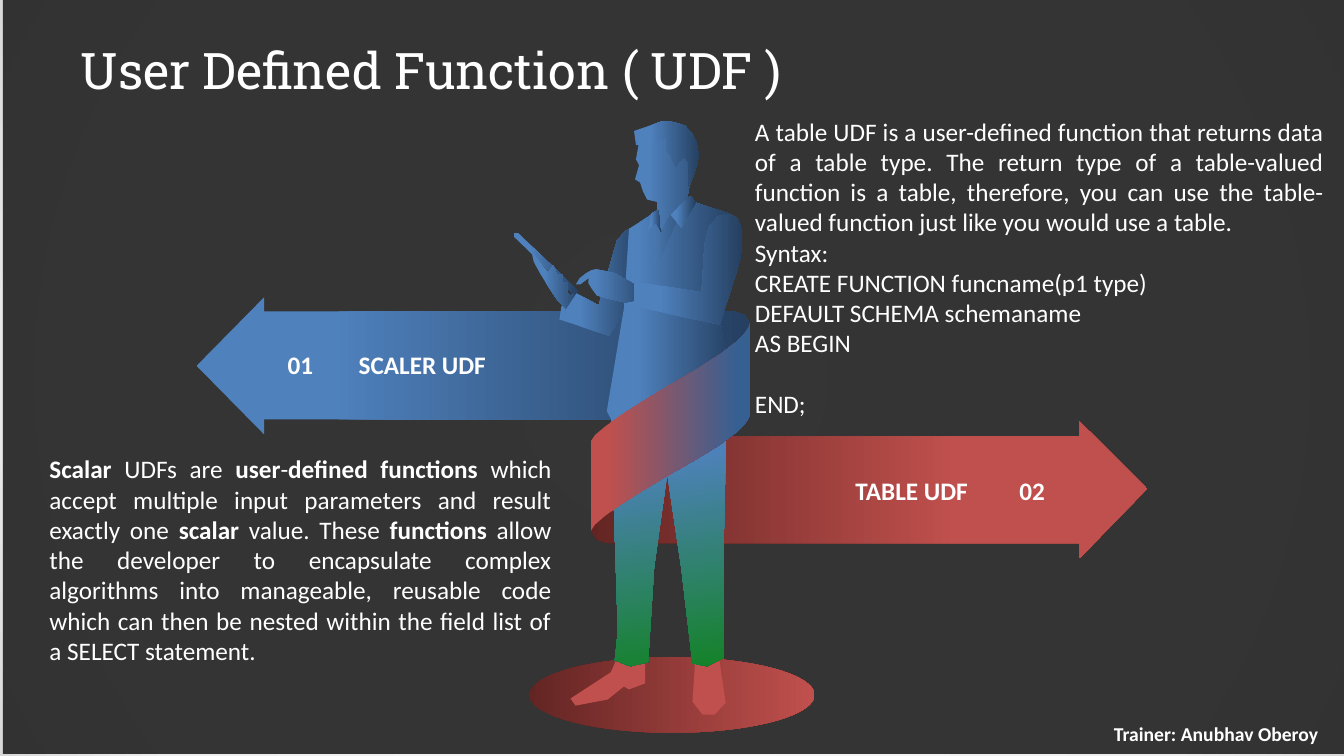
from copy import deepcopy
from math import dist

from lxml import etree
from pptx import Presentation
from pptx import util as u
from pptx.dml import color
from pptx.enum import shapes as kinds, text
from pptx.oxml import ns

Pt = u.Pt
UNIT = Pt(0.72)  # one step of the outline grid
PIECE = Pt(12)  # length of curve drawn as one line
MOST = 6  # most lines in one curve

BLUE = ((24, "4F81BD"), (100, "254061"))
TROUSERS = ((24, "4F81BD"), (100, "148227"))
RED = ((0, "632523"), (66, "C0504D"))
DISC = ((0, "632523"), (100, "C0504D"))
BAND = ((11, "C0504D"), (92, "376092"))
SHOE = "C0504D"

# Outlines: two numbers make a line, six make a curve
LEFT = ("262 295, 262 309, 723 309, 723 309 744 309 744 321, "
        "744 325 734 352 734 352, 726 377, 716 416, 262 416, 262 431, 195 363")
RIGHT = ("1071 418, 1138 485, 1071 554, 1071 539, 606 539, "
         "606 539 587 539 586 527, 586 523 596 497 596 497, 604 471, "
         "614 433, 1071 433")
SASH = ("586 438, 588 428 632 401 692 366, 747 333 744 321 744 321, 744 410, "
        "744 410 748 423 692 455, 631 489 588 517 586 527")

TABLET = "573 292, 570 293, 510 235, 510 231, 514 231, 574 289"
SHOE_L = ("640 649, 640 678, 624 684, 619 681, 603 694, 571 700, 566 693, "
          "606 667, 617 642")
SHOE_R = "690 652, 687 696, 697 709, 709 709, 720 697, 713 650"
HEAD = ("652 200, 642 198, 638 190, 635 181, 630 178, 634 164, 631 158, "
        "634 141, 635 136 645 123 666 125, "
        "687 127 692 150 690 163, 688 177 678 193 683 208, "
        "688 223 714 212 712 254, 621 273, 621 273 625 250 635 238, "
        "635 238 659 213 652 200")
CUFF = "560 316, 555 317, 557 304, 567 292, 572 292, 565 316"
HAND_L = ("569 312, 554 299, 554 299 525 258 528 253, 528 253 530 248 535 259, "
          "544 270, 549 263, 553 273, 558 272, 558 281, 563 280, 563 290, "
          "578 305")
LEGS = ("613 390, 606 408, 613 626, 610 655, 625 661, 643 657, 649 562, "
        "662 470, 676 564, 687 658, 701 661, 718 653, 718 538, 721 405, "
        "716 394")
ARM_L = ("635 223, 635 223 616 227 612 239, 608 252 594 303 594 303, 572 291, "
         "555 317, 604 333, 604 333 625 304 629 271, 632 238 636 223 636 223")
CHEST = ("638 222, 649 212, 656 230, 665 213, 685 194, 694 226, 690 259, "
         "677 286, 656 308, 627 322, 624 275, 624 255, 627 233")
SHIRT = ("728 415, 683 416, 640 412, 635 396, 631 414, 608 419, 602 408, "
         "619 306, 624 227, 643 215, 653 208, 648 227, 651 269, 675 213, "
         "685 194, 690 201, 724 212, 710 285")
HAIR = ("661 137, 661 137 633 148 631 144, 629 130, 658 120, "
        "662 119 679 124 680 125, 681 127 688 132 690 139, "
        "691 145 696 153 693 159, 690 166 689 174 683 186, "
        "683 170, 684 163 684 157 679 156, "
        "673 156 673 165 671 166, 668 161, 665 154, 661 152 660 147 661 137")
COLLAR_L = "643 228, 651 221, 656 230, 653 208, 646 212"
COLLAR_R = "685 194, 665 213, 676 226, 690 201"
HAND_R = ("631 298, 620 300, 602 296, 592 293, 587 286 581 280 584 276, "
          "576 282, 572 285 568 281 575 276, "
          "582 270 587 267 591 267, 610 271, 636 286, 649 289, 645 302")
ARM_R = ("629 279, 629 304, 714 322, 731 269, "
         "738 248 738 226 731 216, 723 207 701 212 699 242, 696 290")

MAN = ((BLUE, TABLET), (SHOE, SHOE_L), (SHOE, SHOE_R), (BLUE, HEAD),
       (BLUE, CUFF), (BLUE, HAND_L), (TROUSERS, LEGS), (BLUE, ARM_L),
       (BLUE, CHEST), (BLUE, SHIRT), (BLUE, HAIR), (BLUE, COLLAR_L),
       (BLUE, COLLAR_R), (BLUE, HAND_R), (BLUE, ARM_R), (BAND, SASH))

SCALAR = ["*Scalar* UDFs are *user*-*defined functions* which accept multiple "
          "input parameters and result exactly one *scalar* value. "
          "These *functions* allow the developer to encapsulate complex "
          "algorithms into manageable, reusable code which can then be nested "
          "within the field list of a SELECT statement."]
TABLE = ["A table UDF is a user-defined function that returns data of a table "
         "type. The return type of a table-valued function is a table, "
         "therefore, you can use the table-valued function just like you "
         "would use a table.",
         "Syntax:", "CREATE FUNCTION funcname(p1 type)",
         "DEFAULT SCHEMA schemaname", "AS BEGIN", "END;"]


def rgb(code):
    return color.RGBColor.from_string(code)


def blend(fill, stops, angle=0):
    fill.gradient_angle = (360 - angle) % 360
    for stop, (pos, code) in zip(fill.gradient_stops, stops):
        stop.position = pos / 100
        stop.color.rgb = rgb(code)


def paint(shape, look, angle=0):
    shape.shadow.inherit = False
    shape.line.fill.background()
    if isinstance(look, str):
        shape.fill.solid()
        shape.fill.fore_color.rgb = rgb(look)
    else:
        shape.fill.gradient()
        blend(shape.fill, look, angle)


def preset(slide, kind, box, look):
    shape = slide.shapes.add_shape(kind, *map(Pt, box))
    paint(shape, look)
    return shape


def trace(outline):
    """Turn an outline into points, cutting curves into short lines."""
    dots = []
    for part in outline.split(","):
        nums = [int(n) * UNIT for n in part.split()]
        if len(nums) == 2:
            dots.append(tuple(nums))
            continue
        ends = [dots[-1], *zip(nums[::2], nums[1::2])]
        steps = min(MOST, 2 + int(dist(ends[0], ends[3]) / PIECE))
        for i in range(1, steps + 1):
            t = i / steps
            s = 1 - t
            mix = (s ** 3, 3 * s * s * t, 3 * s * t * t, t ** 3)
            dots.append(tuple(sum(m * e[k] for m, e in zip(mix, ends))
                              for k in (0, 1)))
    return dots


def form(slide, look, outline):
    dots = trace(outline)
    pen = slide.shapes.build_freeform(*dots[0])
    pen.add_line_segments(dots[1:], close=True)
    paint(pen.convert_to_shape(), look, 80 if look is TROUSERS else 0)


def write(slide, box, lines, size=18, font="Calibri", bold=False, align="LEFT",
          anchor="MIDDLE", inset=(0, 0), wrap=True, grow=True, gap=0):
    """Add text; stars switch bold, gap is the space before the last line."""
    frame = slide.shapes.add_textbox(*map(Pt, box)).text_frame
    frame.word_wrap = wrap
    if grow:
        frame.auto_size = text.MSO_AUTO_SIZE.SHAPE_TO_FIT_TEXT
    frame.vertical_anchor = text.MSO_ANCHOR[anchor]
    frame.margin_left = frame.margin_right = Pt(inset[0])
    frame.margin_top = frame.margin_bottom = Pt(inset[1])
    for i, line in enumerate(lines):
        para = frame.add_paragraph() if i else frame.paragraphs[0]
        para.alignment = text.PP_ALIGN[align]
        if gap and i == len(lines) - 1:
            para.space_before = Pt(gap)
        for j, piece in enumerate(line.split("*")):
            if piece:
                run = para.add_run()
                run.text = piece
                run.font.name, run.font.size = font, Pt(size)
                run.font.bold = bold or j % 2 == 1
                run.font.color.rgb = rgb("FFFFFF")


def backdrop(slide):
    fill = slide.background.fill
    fill.gradient()
    first = next(slide.element.iter(ns.qn("a:gs")))
    first.addnext(deepcopy(first))
    blend(fill, ((0, "FFFFFF"), (81, "EEEEEE"), (100, "D9D9D9")))
    # Round gradient from the centre
    lin = next(slide.element.iter(ns.qn("a:lin")))
    ring = etree.SubElement(lin.getparent(), ns.qn("a:path"), path="circle")
    etree.SubElement(ring, ns.qn("a:fillToRect"),
                     {side: "50000" for side in "ltrb"})
    lin.getparent().replace(lin, ring)
    # Dark sheet, slightly see-through
    sheet = preset(slide, kinds.MSO_SHAPE.RECTANGLE, (2, -1.5, 960, 540),
                   "262626")
    tint = next(sheet.element.spPr.iter(ns.qn("a:srgbClr")))
    etree.SubElement(tint, ns.qn("a:alpha"), val="93000")


def main():
    deck = Presentation()
    deck.slide_width, deck.slide_height = Pt(960), Pt(540)
    slide = deck.slides.add_slide(deck.slide_layouts[6])
    backdrop(slide)

    # Title and trainer
    write(slide, (48, 21.6, 864, 56), ["User Defined Function ( UDF )"],
          size=36, font="Roboto Slab", inset=(9.6, 4.8), grow=False)
    write(slide, (780.5, 509.8, 176.4, 28), ["Trainer: Anubhav Oberoy"],
          size=14, bold=True, align="CENTER", inset=(9.6, 4.8), grow=False)

    # Arrows and their labels
    form(slide, BLUE, LEFT)
    form(slide, RED, RIGHT)
    for num, x, name, left, y, side in (
            ("01", 205.2, "SCALER UDF", 249.1, 246.2, "LEFT"),
            ("02", 727.9, "TABLE UDF", 540.7, 336.2, "RIGHT")):
        write(slide, (x, y + 3.6, 18.7, 21.6), [num], bold=True,
              align="CENTER", wrap=False)
        write(slide, (left, y, 157.7, 28.8), [name], bold=True, align=side,
              inset=(7.2, 3.6))

    # Explanations
    write(slide, (35.3, 324, 358.6, 152.6), SCALAR, align="JUSTIFY",
          anchor="TOP")
    write(slide, (539.3, 82.8, 406.1, 218.2), TABLE, align="JUSTIFY",
          anchor="TOP", gap=21.6)

    # Standing man on a disc, with the sash around him
    preset(slide, kinds.MSO_SHAPE.OVAL, (378, 469.4, 203.8, 54), DISC)
    for look, outline in MAN:
        form(slide, look, outline)

    deck.save("out.pptx")


if __name__ == "__main__":
    main()
